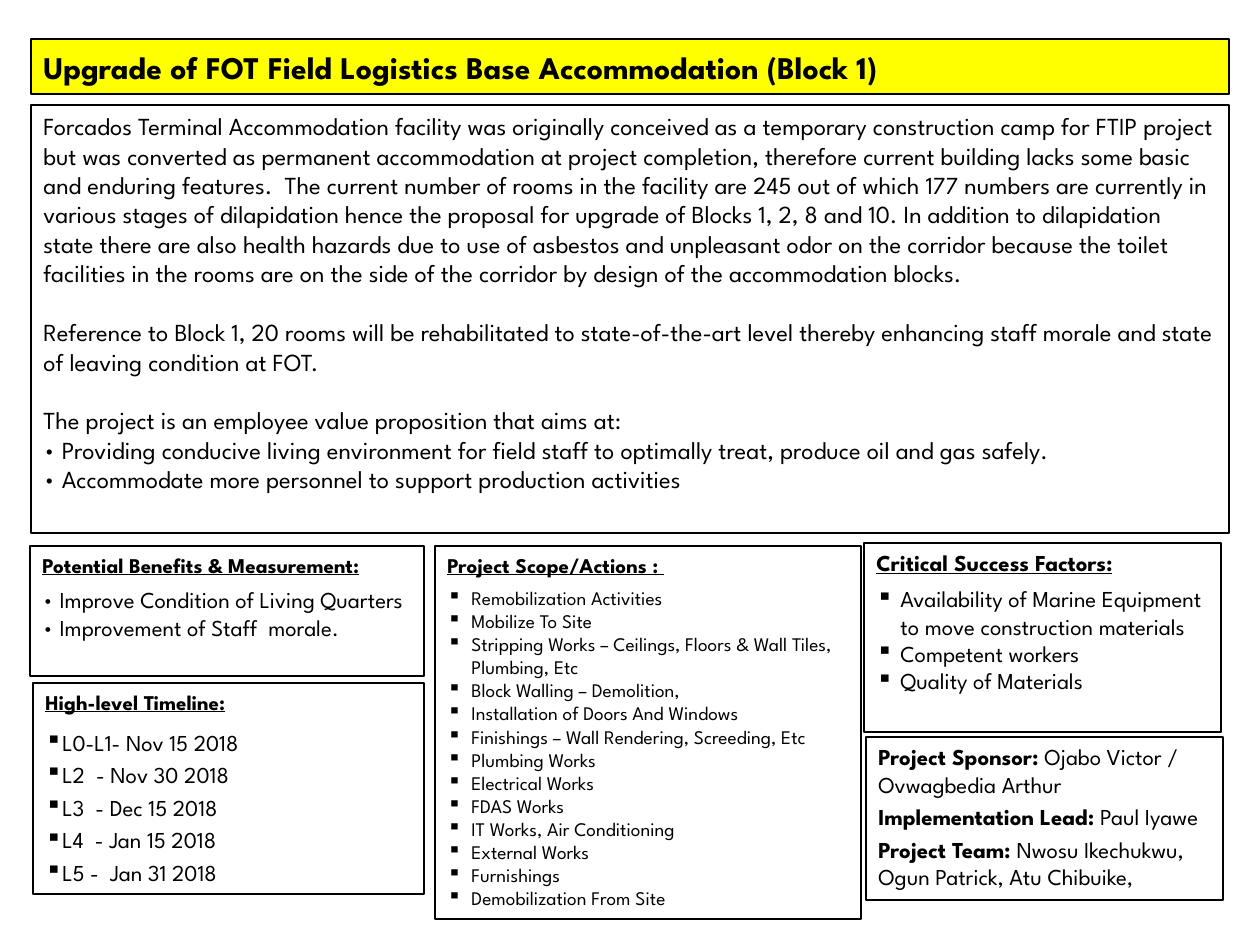
from dataclasses import dataclass
from typing import Optional

from lxml.etree import SubElement
from pptx import Presentation
from pptx.dml.color import RGBColor
from pptx.enum.shapes import MSO_SHAPE
from pptx.enum.text import MSO_ANCHOR, PP_ALIGN
from pptx.oxml.ns import qn
from pptx.text.text import TextFrame
from pptx.util import Pt

PX = 914400 / 126
FONT = "League Spartan"
COLORS = {"ink": "000000", "paper": "FFFFFF", "banner": "FFFF00"}
BODY_GAP = 16.8  # one line of 14 pt text


def px(n: int) -> int:
    return round(n * PX)


def color(name: str) -> RGBColor:
    return RGBColor.from_string(COLORS[name])


@dataclass
class Box:
    x: int
    y: int
    w: int
    h: int
    fill: Optional[str] = None


@dataclass
class Panel:
    box: Box
    heading: str
    items: list[str]
    heading_size: int = 12
    size: int = 13
    bullet: str = ""
    indent: int = 0
    before: int = 0


def add_box(slide, box: Box, anchor=MSO_ANCHOR.TOP) -> TextFrame:
    sp = slide.shapes.add_shape(MSO_SHAPE.RECTANGLE, px(box.x), px(box.y), px(box.w), px(box.h))
    sp.shadow.inherit = False
    if box.fill:
        sp.fill.solid()
        sp.fill.fore_color.rgb = color(box.fill)
    else:
        sp.fill.background()
    sp.line.color.rgb = color("ink")
    sp.line.width = Pt(0.75)
    tf = sp.text_frame
    tf.word_wrap = True
    tf.vertical_anchor = anchor
    return tf


def add_text(tf: TextFrame, text: str, *, size: int, label: str = "", bold: bool = False,
             underline: bool = False, before: float = 0, after: float = 0,
             bullet: str = "", indent: int = 0) -> None:
    """Add a paragraph, with an optional bold label ahead of the text."""
    first = tf.paragraphs[0]
    p = tf.add_paragraph() if first.runs else first
    if bullet:
        pPr = p._p.get_or_add_pPr()
        pPr.set("marL", str(px(indent)))
        pPr.set("indent", str(-px(indent)))
        SubElement(pPr, qn("a:buChar")).set("char", bullet)
    p.alignment = PP_ALIGN.LEFT
    p.space_before = Pt(before)
    p.space_after = Pt(after)
    for part, strong in ((label, True), (text, bold)):
        if part:
            r = p.add_run()
            r.text = part
            r.font.name = FONT
            r.font.size = Pt(size)
            r.font.bold = strong
            r.font.underline = underline
            r.font.color.rgb = color("ink")


def add_panel(slide, panel: Panel) -> None:
    tf = add_box(slide, panel.box)
    add_text(tf, panel.heading, size=panel.heading_size, bold=True, underline=True, after=5)
    for item in panel.items:
        add_text(tf, item, size=panel.size, before=panel.before,
                 bullet=panel.bullet, indent=panel.indent)


TITLE = "Upgrade of FOT Field Logistics Base Accommodation (Block 1)"

# Background text with the space before each paragraph
BACKGROUND = [
    ("Forcados Terminal Accommodation facility was originally conceived as a temporary "
     "construction camp for FTIP project but was converted as permanent accommodation at "
     "project completion, therefore current building lacks some basic and enduring features.  "
     "The current number of rooms in the facility are 245 out of which 177 numbers are "
     "currently in various stages of dilapidation hence the proposal for upgrade of Blocks "
     "1, 2, 8 and 10. In addition to dilapidation state there are also health hazards due to "
     "use of asbestos and unpleasant odor on the corridor because the toilet facilities in the "
     "rooms are on the side of the corridor by design of the accommodation blocks.", 0),
    ("Reference to Block 1, 20 rooms will be rehabilitated to state-of-the-art level thereby "
     "enhancing staff morale and state of leaving condition at FOT.", BODY_GAP),
    ("The project is an employee value proposition that aims at:", BODY_GAP),
    ("• Providing conducive living environment for field staff to optimally treat, produce "
     "oil and gas safely.", 0),
    ("• Accommodate more personnel to support production activities", 0),
]

PANELS = [
    Panel(Box(30, 546, 394, 130, "paper"), "Potential Benefits & Measurement:",
          ["• Improve Condition of Living Quarters", "• Improvement of Staff  morale."]),
    Panel(Box(435, 546, 426, 373), "Project Scope/Actions : ",
          ["Remobilization Activities", "Mobilize To Site",
           "Stripping Works – Ceilings, Floors & Wall Tiles, Plumbing, Etc",
           "Block Walling – Demolition,", "Installation of Doors And Windows",
           "Finishings – Wall Rendering, Screeding, Etc", "Plumbing Works",
           "Electrical Works", "FDAS Works", "IT Works, Air Conditioning",
           "External Works", "Furnishings", "Demobilization From Site"],
          size=11, bullet="▪", indent=24),
    Panel(Box(33, 683, 391, 211), "High-level Timeline:",
          ["L0-L1- Nov 15 2018", "L2  - Nov 30 2018", "L3  - Dec 15 2018",
           "L4  - Jan 15 2018", "L5 -  Jan 31 2018"],
          bullet="▪", before=3),
    Panel(Box(864, 543, 357, 189), "Critical Success Factors:",
          ["Availability of Marine Equipment to move construction materials",
           "Competent workers", "Quality of Materials"],
          heading_size=13, bullet="▪", indent=24),
]

TEAM = [
    ("Project Sponsor: ", "Ojabo Victor / Ovwagbedia Arthur"),
    ("Implementation Lead: ", "Paul Iyawe"),
    ("Project Team: ", "Nwosu Ikechukwu, Ogun Patrick, Atu Chibuike,"),
]


def main() -> None:
    prs = Presentation()
    prs.slide_width, prs.slide_height = px(1260), px(945)
    slide = prs.slides.add_slide(prs.slide_layouts[6])

    # Title banner
    tf = add_box(slide, Box(31, 39, 1198, 55, "banner"), MSO_ANCHOR.MIDDLE)
    add_text(tf, TITLE, size=18, bold=True)

    # Project background
    tf = add_box(slide, Box(31, 105, 1198, 428, "paper"))
    for text, before in BACKGROUND:
        add_text(tf, text, size=14, before=before)

    # Headed panels
    for panel in PANELS:
        add_panel(slide, panel)

    # Project team
    tf = add_box(slide, Box(866, 737, 357, 163))
    for i, (label, names) in enumerate(TEAM):
        add_text(tf, names, label=label, size=13, before=3 if i else 0)

    prs.save("out.pptx")


if __name__ == "__main__":
    main()
